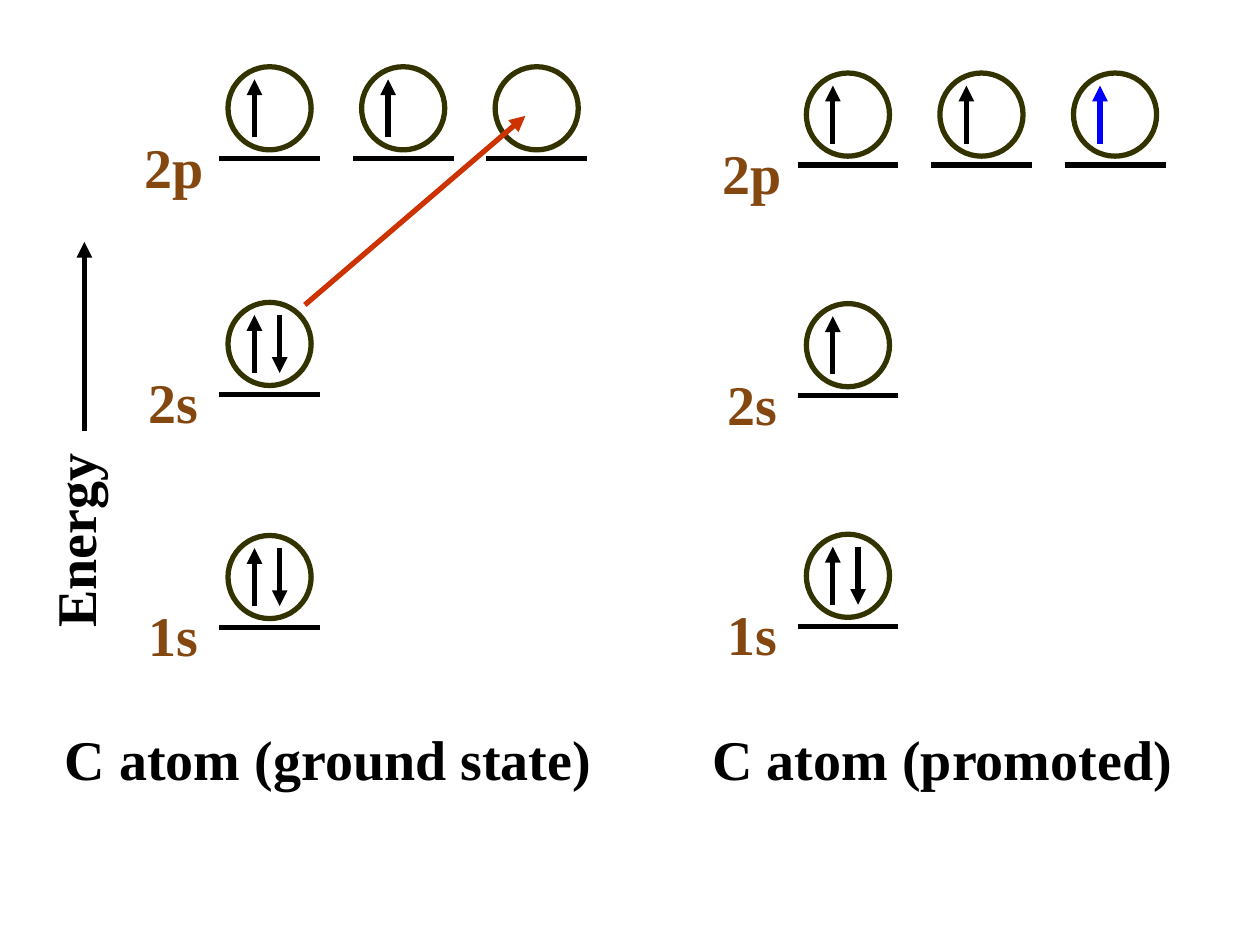
from lxml.etree import SubElement
from pptx import Presentation
from pptx.dml.color import RGBColor
from pptx.enum.shapes import MSO_CONNECTOR, MSO_SHAPE
from pptx.enum.text import PP_ALIGN
from pptx.oxml.ns import qn
from pptx.util import Inches, Pt

COLORS = {
    "ink": "000000",
    "orbital": "333300",
    "label": "844710",
    "promotion": "CC3300",
    "promoted": "0000FF",
}
ORBITAL_PITCH = 1.06


class EnergyDiagram:
    font_name = "Times New Roman"
    font_size = Pt(32)
    stroke = Pt(3)

    def __init__(self, slide):
        self.slide = slide

    def set_line(self, line, color):
        line.color.rgb = RGBColor.from_string(COLORS[color])
        line.width = self.stroke

    def text(self, words, left, top, width, color="ink", rotation=0):
        box = self.slide.shapes.add_textbox(
            Inches(left), Inches(top), Inches(width), Inches(0.64))
        box.rotation = rotation
        frame = box.text_frame
        frame.word_wrap = False
        frame.margin_left = frame.margin_right = 0
        frame.text = words
        paragraph = frame.paragraphs[0]
        paragraph.alignment = PP_ALIGN.CENTER
        font = paragraph.runs[0].font
        font.name = self.font_name
        font.size = self.font_size
        font.bold = True
        font.color.rgb = RGBColor.from_string(COLORS[color])

    def line(self, start, end, color="ink", arrow=False):
        connector = self.slide.shapes.add_connector(
            MSO_CONNECTOR.STRAIGHT, *map(Inches, start + end))
        self.set_line(connector.line, color)
        if arrow:
            SubElement(connector.line._get_or_add_ln(), qn("a:tailEnd"), type="triangle")
        SubElement(connector._element.spPr, qn("a:effectLst"))

    def circle(self, left, top, diameter=0.66):
        circle = self.slide.shapes.add_shape(
            MSO_SHAPE.OVAL, Inches(left), Inches(top), Inches(diameter), Inches(diameter))
        circle.shadow.inherit = False
        circle.fill.background()
        self.set_line(circle.line, "orbital")

    def orbital(self, left, level, electrons, color="ink"):
        self.line((left, level), (left + 0.8, level))
        self.circle(left + 0.07, level - 0.73)
        low, high = level - 0.17, level - 0.63
        if electrons >= 1:
            self.line((left + 0.28, low), (left + 0.28, high), color, arrow=True)
        if electrons == 2:
            self.line((left + 0.48, high), (left + 0.48, low), color, arrow=True)

    def subshell(self, name, left, level, orbitals):
        width = 0.67 if name.endswith("p") else 0.59
        self.text(name, left - 0.36 - width / 2, level - 0.26, width, "label")
        for index, orbital in enumerate(orbitals):
            self.orbital(left + index * ORBITAL_PITCH, level, *orbital)


def main():
    presentation = Presentation()
    presentation.slide_width = Inches(10)
    presentation.slide_height = Inches(7.5)
    diagram = EnergyDiagram(presentation.slides.add_slide(presentation.slide_layouts[6]))

    ground_state = [
        ("2p", 1.26, [(1,), (1,), (0,)]),
        ("2s", 3.13, [(2,)]),
        ("1s", 4.98, [(2,)]),
    ]
    promoted_state = [
        ("2p", 1.31, [(1,), (1,), (1, "promoted")]),
        ("2s", 3.14, [(1,)]),
        ("1s", 4.97, [(2,)]),
    ]
    atoms = [
        ("C atom (ground state)", 0.41, 4.39, 1.74, ground_state),
        ("C atom (promoted)", 5.55, 3.86, 6.33, promoted_state),
    ]

    diagram.text("Energy", -0.2, 3.97, 1.58, rotation=270)
    diagram.line((0.67, 3.42), (0.67, 1.92), arrow=True)
    for caption, caption_left, caption_width, orbital_left, subshells in atoms:
        for name, level, orbitals in subshells:
            diagram.subshell(name, orbital_left, level, orbitals)
        diagram.text(caption, caption_left, 5.7, caption_width)
    diagram.line((2.42, 2.42), (4.17, 0.92), "promotion", arrow=True)

    presentation.save("out.pptx")


if __name__ == "__main__":
    main()
